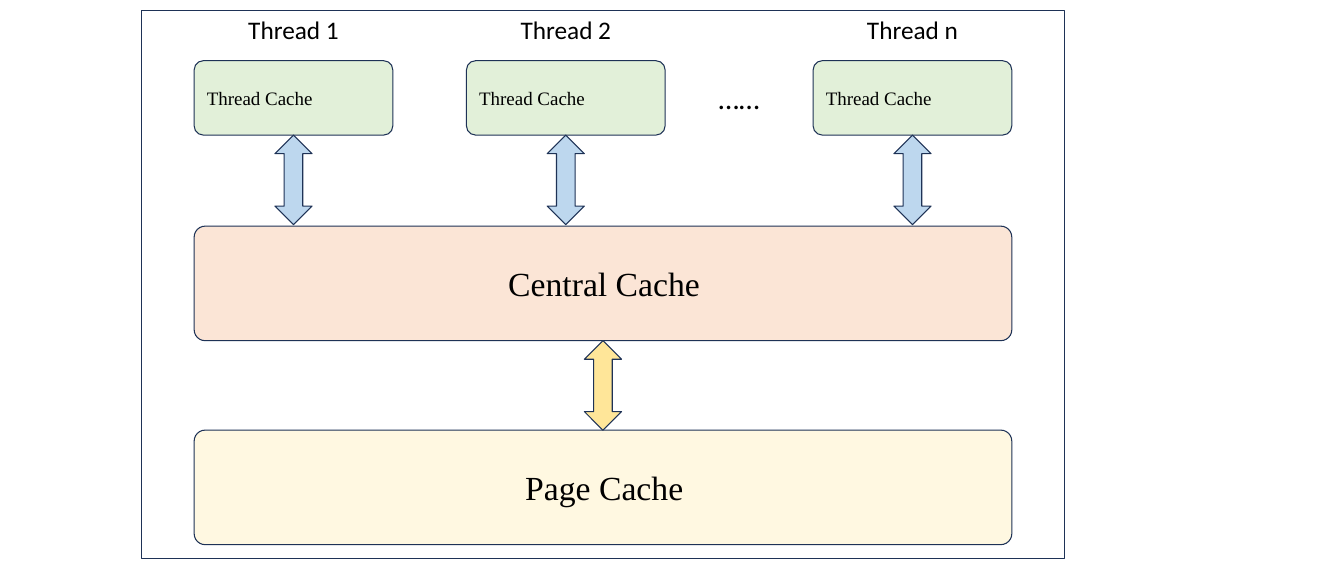
from pptx import Presentation
from pptx.dml.color import RGBColor
from pptx.enum.shapes import MSO_SHAPE
from pptx.enum.text import MSO_ANCHOR, PP_ALIGN
from pptx.util import Pt

COLORS = {
    "frame": "FFFFFF",
    "outline": "1E3256",
    "text": "000000",
    "thread": "E2F0D9",
    "thread_arrow": "BDD7EE",
    "central": "FBE5D6",
    "page": "FFF8E1",
    "page_arrow": "FFE699",
}
# Horizontal centre of each thread column
THREADS = {"Thread 1": 278.6, "Thread 2": 537.1, "Thread n": 866.2}

CACHE_LEFT, CACHE_WIDTH, CACHE_HEIGHT = 184.3, 776.2, 108.7
THREAD_TOP, THREAD_WIDTH, THREAD_HEIGHT = 57.6, 188.6, 70.6
CENTRAL_TOP, PAGE_TOP = 214.6, 408.2
ARROW_WIDTH, ARROW_HEIGHT = 35.3, 85


def write(owner, text, size, font, align=PP_ALIGN.CENTER):
    frame = owner.text_frame
    frame.text = text
    frame.word_wrap = True
    paragraph = frame.paragraphs[0]
    paragraph.alignment = align
    for run in paragraph.runs:
        run.font.size = Pt(size)
        run.font.name = font
        run.font.color.rgb = RGBColor.from_string(COLORS["text"])


def add_outlined(slide, kind, left, top, width, height, color):
    outlined = slide.shapes.add_shape(kind, Pt(left), Pt(top), Pt(width), Pt(height))
    outlined.shadow.inherit = False
    outlined.fill.solid()
    outlined.fill.fore_color.rgb = RGBColor.from_string(COLORS[color])
    outlined.line.color.rgb = RGBColor.from_string(COLORS["outline"])
    outlined.line.width = Pt(1)
    return outlined


def add_cache(slide, text, left, top, width, height, color, corner, size,
              align=PP_ALIGN.CENTER):
    cache = add_outlined(slide, MSO_SHAPE.ROUNDED_RECTANGLE,
                         left, top, width, height, color)
    cache.adjustments[0] = corner
    write(cache, text, size, "Times New Roman", align)
    cache.text_frame.vertical_anchor = MSO_ANCHOR.MIDDLE
    cache.text_frame.margin_left = Pt(9.5)


def add_arrow(slide, center, top, color):
    add_outlined(slide, MSO_SHAPE.UP_DOWN_ARROW, center - ARROW_WIDTH / 2, top,
                 ARROW_WIDTH, ARROW_HEIGHT, color)


def add_label(slide, text, left, top, width, height, size):
    label = slide.shapes.add_textbox(Pt(left), Pt(top), Pt(width), Pt(height))
    write(label, text, size, "Calibri")


def add_thread(slide, name, center):
    add_label(slide, name, center - 68.75, 10.1, 137.5, 36, 24)
    add_cache(slide, "Thread Cache", center - THREAD_WIDTH / 2, THREAD_TOP,
              THREAD_WIDTH, THREAD_HEIGHT, "thread", 0.124, 18, PP_ALIGN.LEFT)
    add_arrow(slide, center, THREAD_TOP + THREAD_HEIGHT, "thread_arrow")


def main():
    prs = Presentation()
    prs.slide_width, prs.slide_height = Pt(1275.84), Pt(540)
    slide = prs.slides.add_slide(prs.slide_layouts[6])

    # Outer frame
    add_outlined(slide, MSO_SHAPE.RECTANGLE, 134.6, 10.1, 876.2, 519.8, "frame")

    # Threads with their own caches
    for name, center in THREADS.items():
        add_thread(slide, name, center)
    add_label(slide, "……", 670.3, 72.7, 62.6, 41, 28)

    # Shared caches
    for text, top, color in (("Central Cache", CENTRAL_TOP, "central"),
                             ("Page Cache", PAGE_TOP, "page")):
        add_cache(slide, text, CACHE_LEFT, top, CACHE_WIDTH, CACHE_HEIGHT,
                  color, 0.096, 32)
    add_arrow(slide, CACHE_LEFT + CACHE_WIDTH / 2, CENTRAL_TOP + CACHE_HEIGHT,
              "page_arrow")

    prs.save("out.pptx")


if __name__ == "__main__":
    main()
